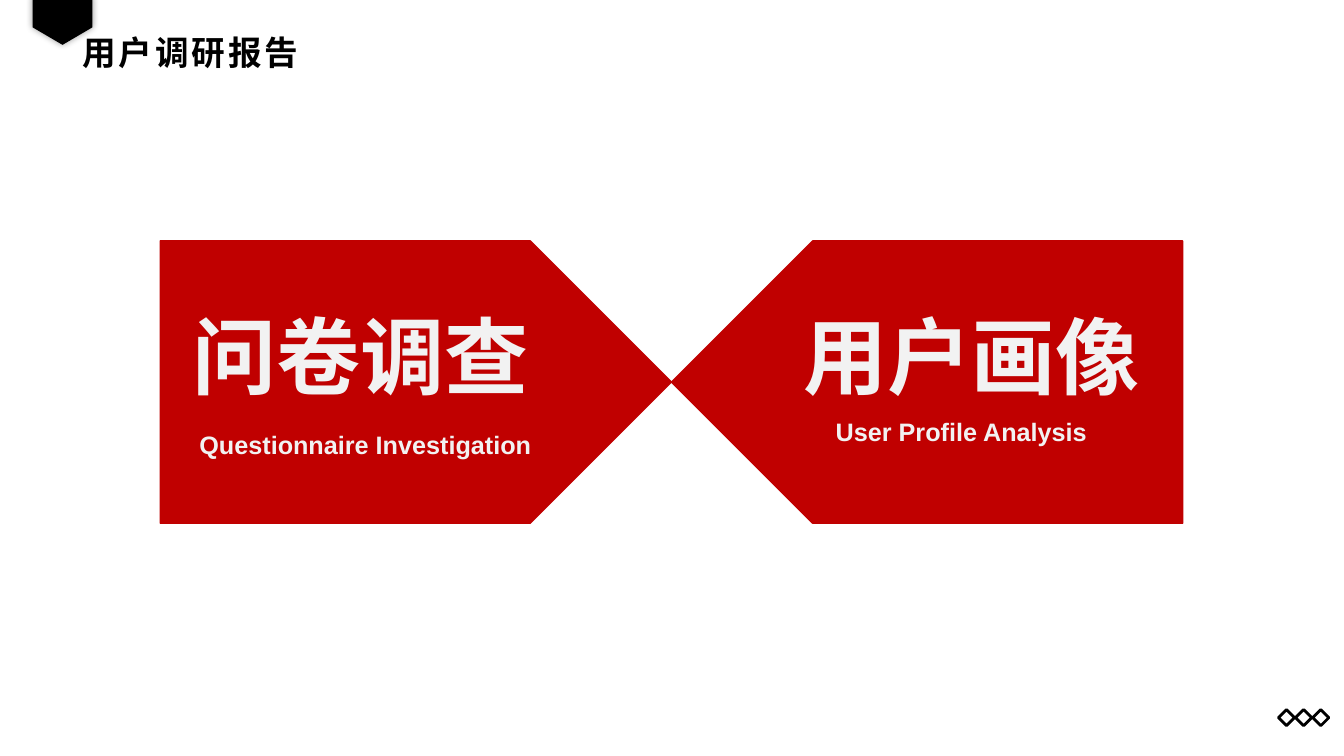
from lxml.etree import SubElement
from pptx import Presentation
from pptx.dml.color import RGBColor
from pptx.enum.shapes import MSO_SHAPE
from pptx.oxml import parse_xml
from pptx.oxml.ns import qn
from pptx.util import Pt

PX = 9144
THEME = {
    "black": RGBColor(0, 0, 0),
    "red": RGBColor(0xC0, 0, 0),
    "pale": RGBColor(0xF2, 0xF2, 0xF2),
    "latin": "Arial",
    "asian": "Noto Sans CJK SC",
    "title": 24,
    "head": 60,
    "sub": 18,
}
SHADOW = (
    '<a:effectLst xmlns:a="http://schemas.openxmlformats.org/drawingml/2006/main">'
    '<a:outerShdw blurRad="63500" dist="0" algn="ctr" rotWithShape="0">'
    '<a:srgbClr val="000000"><a:alpha val="40000"/></a:srgbClr>'
    '</a:outerShdw></a:effectLst>'
)


def draw(home, kind, box, fill=None, line=None, width=1):
    shape = home.add_shape(kind, *(n * PX for n in box))
    shape.shadow.inherit = False
    if fill is None:
        shape.fill.background()
    else:
        shape.fill.solid()
        shape.fill.fore_color.rgb = fill
    if line is None:
        shape.line.fill.background()
    else:
        shape.line.color.rgb = line
        shape.line.width = Pt(width)
    return shape


def write(home, text, box, size, color, face, gap=0):
    frame = home.add_textbox(*(n * PX for n in box)).text_frame
    frame.word_wrap = True
    para = frame.paragraphs[0]
    para.text = text
    font = para.font
    font.name = face
    font.size = Pt(size)
    font.bold = True
    font.color.rgb = color
    props = para._p.pPr.find(qn("a:defRPr"))
    props.set("spc", str(gap * 100))
    SubElement(props, qn("a:ea")).set("typeface", THEME["asian"])
    return frame


deck = Presentation()
deck.slide_width = 1333 * PX
deck.slide_height = 750 * PX
slide = deck.slides.add_slide(deck.slide_layouts[6])
shapes = slide.shapes

group = shapes.add_group_shape()
for i in range(3):
    draw(group.shapes, MSO_SHAPE.DIAMOND, (1268 + 17 * i, 704, 16, 16),
         line=THEME["black"], width=2)

tag = draw(shapes, MSO_SHAPE.PENTAGON, (38, -9, 48, 59), THEME["black"])
tag.rotation = 90
tag.adjustments[0] = 0.36
props = tag._element.spPr
props.replace(props.find(qn("a:effectLst")), parse_xml(SHADOW))

title = write(shapes, "用户调研报告", (71, 28, 1150, 145), THEME["title"],
              THEME["black"], THEME["asian"], 2)
title.margin_left, title.margin_right = 11 * PX, 8 * PX
title.margin_top = title.margin_bottom = 4 * PX

for left, turn in ((159, 0), (666, 180)):
    arrow = draw(shapes, MSO_SHAPE.PENTAGON, (left, 239, 507, 280),
                 THEME["red"], THEME["red"])
    arrow.rotation = turn

for text, box, size in (
    ("问卷调查", (181, 297, 368, 111), "head"),
    ("用户画像", (787, 297, 368, 111), "head"),
    ("Questionnaire Investigation", (188, 421, 463, 40), "sub"),
    ("User Profile Analysis", (819, 408, 304, 40), "sub"),
):
    write(shapes, text, box, THEME[size], THEME["pale"], THEME["latin"])

deck.save("out.pptx")
